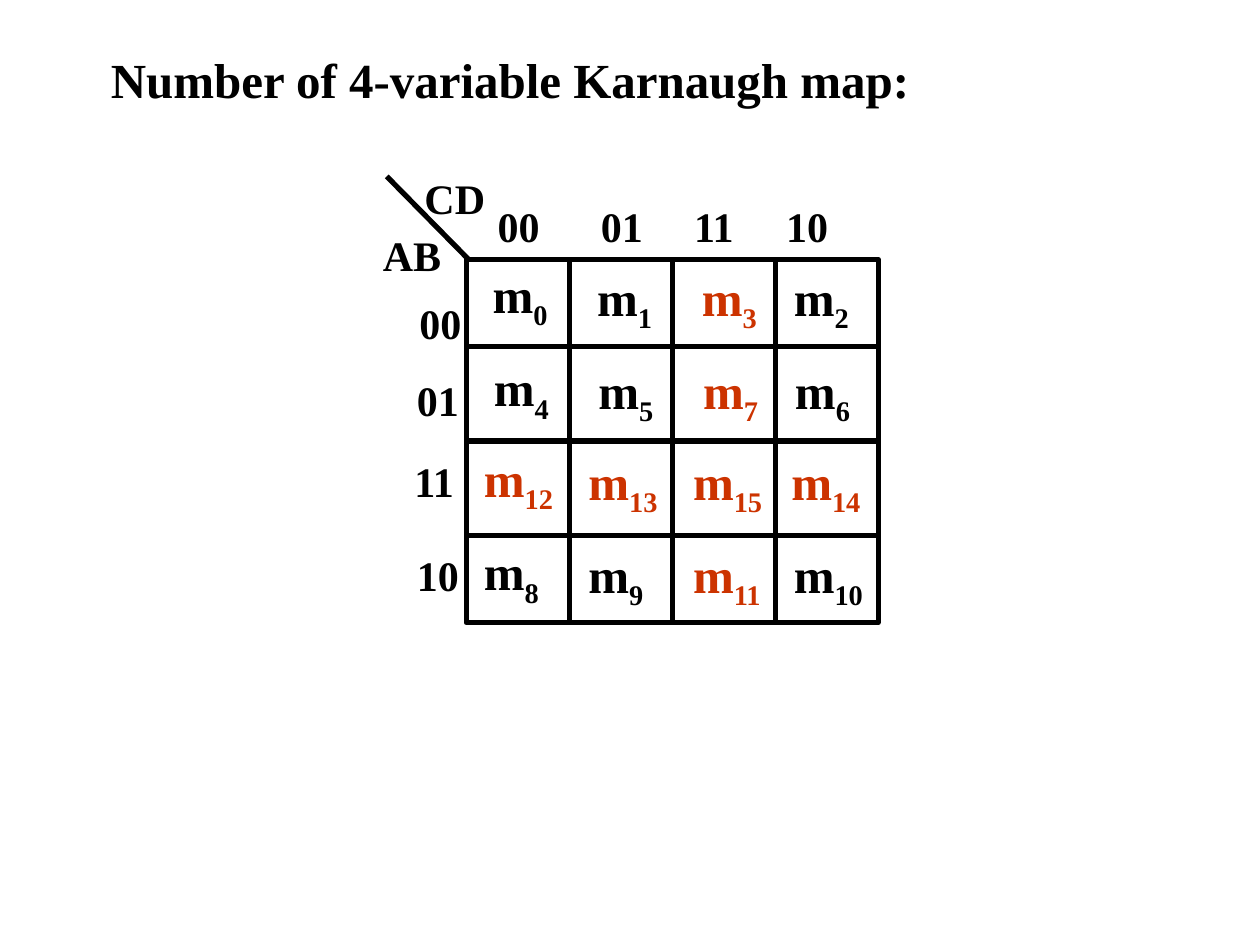
from lxml.etree import SubElement
from pptx import Presentation
from pptx.dml.color import RGBColor
from pptx.enum.shapes import MSO_CONNECTOR, MSO_SHAPE
from pptx.enum.text import MSO_ANCHOR, MSO_AUTO_SIZE, PP_ALIGN
from pptx.oxml.ns import qn
from pptx.util import Inches, Pt

BLACK = RGBColor(0x00, 0x00, 0x00)
RED = RGBColor(0xCC, 0x33, 0x00)

# Grid of the map, in inches
LEFT, TOP, WIDTH, HEIGHT = 3.7, 2.06, 3.27, 2.88
RIGHT, BOTTOM = LEFT + WIDTH, TOP + HEIGHT
COLUMN, ROW = WIDTH / 4, 0.75
MIDDLE = TOP + HEIGHT / 2


def write(shape, text, size, color=BLACK, subscript="", margins=(0.1, 0.05), wrap=True):
    frame = shape.text_frame
    across, down = (Inches(margin) for margin in margins)
    frame_format = {
        "margin_left": across, "margin_right": across,
        "margin_top": down, "margin_bottom": down,
        "word_wrap": wrap, "vertical_anchor": MSO_ANCHOR.TOP,
        "auto_size": MSO_AUTO_SIZE.SHAPE_TO_FIT_TEXT,
    }
    for name, value in frame_format.items():
        setattr(frame, name, value)
    paragraph = frame.paragraphs[0]
    paragraph.alignment = PP_ALIGN.LEFT
    before = SubElement(paragraph._p.get_or_add_pPr(), qn("a:spcBef"))
    SubElement(before, qn("a:spcPct")).set("val", "50000")
    font_format = {"name": "Times New Roman", "size": Pt(size), "bold": True}
    for part, baseline in ((text, None), (subscript, "-25000")):
        if not part:
            continue
        run = paragraph.add_run()
        run.text = part
        for name, value in font_format.items():
            setattr(run.font, name, value)
        run.font.color.rgb = color
        if baseline:
            run.font._element.set("baseline", baseline)


def rule(x1, y1, x2, y2):
    line = slide.shapes.add_connector(
        MSO_CONNECTOR.STRAIGHT, Inches(x1), Inches(y1), Inches(x2), Inches(y2))
    line.line.color.rgb = BLACK
    line.line.width = Pt(3)
    SubElement(line._element.spPr, qn("a:effectLst"))
    return line


presentation = Presentation()
presentation.slide_width, presentation.slide_height = Inches(10), Inches(7.5)
slide = presentation.slides.add_slide(presentation.slide_layouts[5])

# Title
title = slide.shapes.title
title.left, title.top = Inches(0.78), Inches(0.34)
title.width, title.height = Inches(6.78), Inches(0.57)
write(title, "Number of 4-variable Karnaugh map:", 28)

# Corner diagonal, variable names and Gray-code labels
rule(LEFT + 0.02, TOP, 3.07, 1.4)
labels = [("AB", 2.94, 1.77, 0.83), ("CD", 3.27, 1.32, 1.15)]
codes = ("00", "01", "11", "10")
labels += [(code, left, 1.54, 0.69)
           for code, left in zip(codes, (3.85, 4.67, 5.41, 6.14))]
labels += [(code, left, top, 0.83)
           for code, left, top in zip(codes, (3.23, 3.21, 3.19, 3.21),
                                      (2.31, 2.92, 3.57, 4.31))]
for label, left, top, width in labels:
    write(slide.shapes.add_textbox(Inches(left), Inches(top), Inches(width), Inches(0.5)),
          label, 24)

# Minterms: top, left of the first and last columns, numbers
minterm_rows = [
    (2.12, 3.91, 6.30, (0, 1, 3, 2)),
    (2.86, 3.92, 6.31, (4, 5, 7, 6)),
    (3.58, 3.84, 6.28, (12, 13, 15, 14)),
    (4.32, 3.84, 6.30, (8, 9, 11, 10)),
]
red_minterms = {3, 7, 11, 12, 13, 14, 15}
for top, first, last, numbers in minterm_rows:
    lefts = (first, first + 0.83, first + 1.66, last)
    for column, (left, number) in enumerate(zip(lefts, numbers)):
        minterm_top = top if column else top - 0.02
        minterm = slide.shapes.add_textbox(
            Inches(left), Inches(minterm_top),
            Inches(0.46 if number < 10 else 0.59), Inches(0.47))
        write(minterm, "m", 28, RED if number in red_minterms else BLACK,
              str(number), (0, 0), False)

# Map outline and inner lines
outline = slide.shapes.add_shape(
    MSO_SHAPE.RECTANGLE, Inches(LEFT), Inches(TOP), Inches(WIDTH), Inches(HEIGHT))
outline.shadow.inherit = False
outline.fill.background()
outline.line.color.rgb = BLACK
outline.line.width = Pt(3)
for step in (-1, 0, 1):
    row_y = MIDDLE + step * ROW
    column_x = LEFT + (step + 2) * COLUMN
    row_line = rule(LEFT, row_y, RIGHT, row_y)
    column_line = rule(column_x, TOP, column_x, BOTTOM)
    if step == 0:
        row_line.begin_connect(outline, 1)
        row_line.end_connect(outline, 3)
        column_line.begin_connect(outline, 0)
        column_line.end_connect(outline, 2)

presentation.save("out.pptx")
